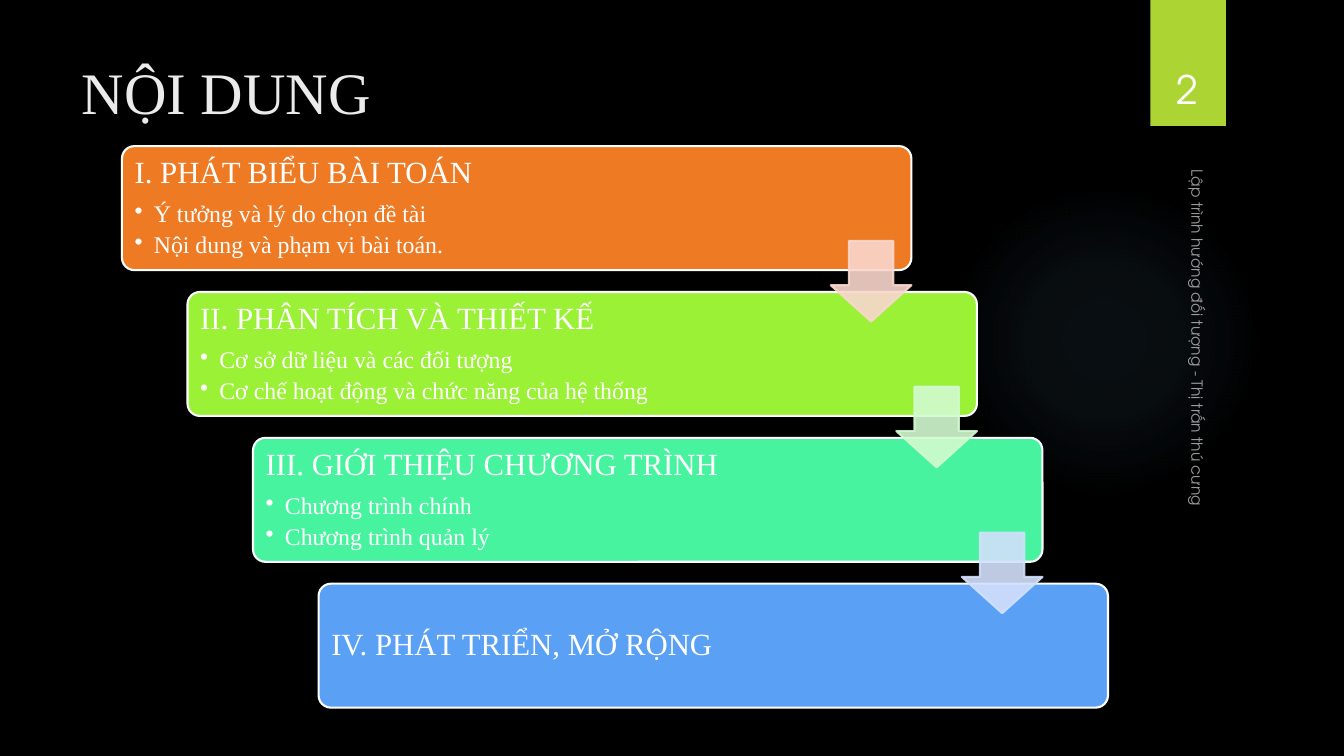
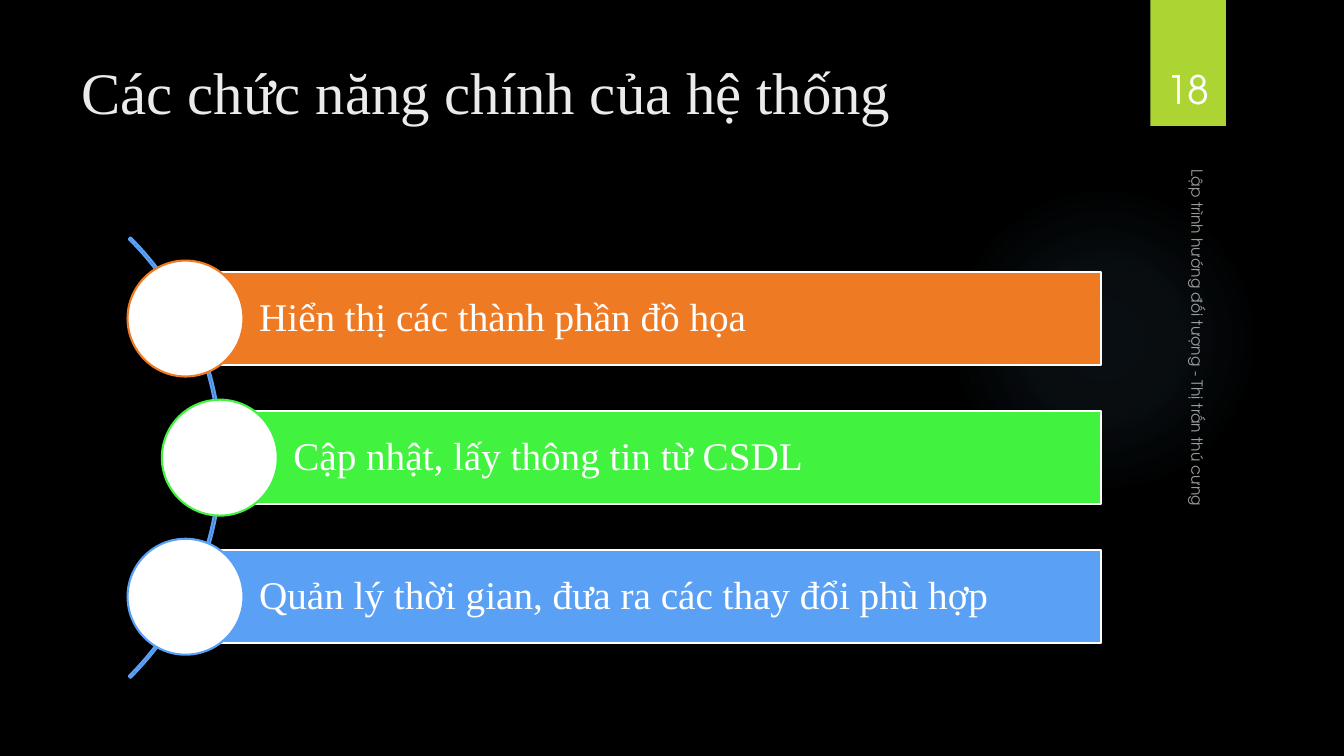
from lxml.etree import SubElement
from pptx import Presentation
from pptx.dml.color import RGBColor
from pptx.enum.shapes import MSO_SHAPE
from pptx.enum.text import MSO_ANCHOR, MSO_AUTO_SIZE, PP_ALIGN
from pptx.oxml import parse_xml
from pptx.oxml.ns import nsdecls, qn
from pptx.util import Inches, Pt

# Content
FOOTER = "Lập trình hướng đối tượng - Thị trấn thú cưng"
AGENDA = {
    "title": "NỘI DUNG",
    "page": "2",
    "cards": [
        ("I. PHÁT BIỂU BÀI TOÁN", "orange", "peach",
         ["Ý tưởng và lý do chọn đề tài", "Nội dung và phạm vi bài toán."]),
        ("II. PHÂN TÍCH VÀ THIẾT KẾ", "lime", "mint",
         ["Cơ sở dữ liệu và các đối tượng",
          "Cơ chế hoạt động và chức năng của hệ thống"]),
        ("III. GIỚI THIỆU CHƯƠNG TRÌNH", "teal", "sky",
         ["Chương trình chính", "Chương trình quản lý"]),
        ("IV. PHÁT TRIỂN, MỞ RỘNG", "blue", None, []),
    ],
}
TASKS = {
    "title": "Các chức năng chính của hệ thống",
    "page": "18",
    "bars": [
        ("Hiển thị các thành phần đồ họa", "orange", 0),
        ("Cập nhật, lấy thông tin từ CSDL", "green", 0.34),
        ("Quản lý thời gian, đưa ra các thay đổi phù hợp", "blue", 0),
    ],
}

# Shared look
HEX = {
    "black": "000000", "white": "FFFFFF", "title": "EBEBEB", "band": "ACD433",
    "glow": "7AC4F0", "orange": "EF7A24", "lime": "9AF136", "teal": "48F39F",
    "blue": "5AA0F5", "green": "41F23F",
    "peach": "F9D7CD", "mint": "D2FACF", "sky": "D2E0FB",
}
SERIF, SANS = "Times New Roman", "TeX Gyre Adventor"
FONTS = {
    "title": {"name": SERIF, "size": Pt(42)},
    "head": {"name": SERIF, "size": Pt(22)},
    "item": {"name": SERIF, "size": Pt(17)},
    "bar": {"name": SERIF, "size": Pt(28)},
    "page": {"name": SANS, "size": Pt(28)},
    "foot": {"name": SANS, "size": Pt(11)},
}
GLOW = [(0, 7), (36, 6), (69, 0)]  # stop and opacity, percent


def rgb(name):
    return RGBColor.from_string(HEX[name])


def apply(part, values):
    for key, value in values.items():
        setattr(part, key, value)


def fade(node, pct):
    for color in node.iter(qn("a:srgbClr")):
        SubElement(color, qn("a:alpha"), val=str(pct * 1000))


def draw(slide, kind, box, fill=None, line=None, adj=()):
    shape = slide.shapes.add_shape(kind, *map(Inches, box))
    shape.shadow.inherit = False
    for i, value in enumerate(adj):
        shape.adjustments[i] = value
    if fill:
        shape.fill.solid()
        shape.fill.fore_color.rgb = rgb(fill)
    else:
        shape.fill.background()
    if line:
        shape.line.color.rgb = rgb(line)
        shape.line.width = Pt(1.5)
    else:
        shape.line.fill.background()
    return shape


def write(para, text, font, color="white", **layout):
    apply(para, {"alignment": PP_ALIGN.LEFT, **layout})
    run = para.add_run()
    run.text = text
    apply(run.font, FONTS[font])
    run.font.color.rgb = rgb(color)
    return run


def bullet(para):
    props = para._p.get_or_add_pPr()
    indent = Inches(0.19)
    props.set("marL", str(indent))
    props.set("indent", str(-indent))
    SubElement(props, qn("a:buChar"), char="•")


def inset(frame, left, rest):
    apply(frame, {"margin_left": Inches(left), "margin_right": Inches(rest),
                  "margin_top": Inches(rest), "margin_bottom": Inches(rest),
                  "vertical_anchor": MSO_ANCHOR.MIDDLE, "word_wrap": True})


def label(slide, box, text, font, align):
    shape = slide.shapes.add_textbox(*map(Inches, box))
    frame = shape.text_frame
    apply(frame, {"word_wrap": True, "vertical_anchor": MSO_ANCHOR.BOTTOM})
    return shape, write(frame.paragraphs[0], text, font, alignment=align)


def backdrop(deck, slide):
    """Move the glow and the page band to the master."""
    master = deck.slide_master
    master.background.fill.solid()
    master.background.fill.fore_color.rgb = rgb("black")
    glow = draw(slide, MSO_SHAPE.OVAL, (9.41, 1.83, 3.08, 3.08))
    stops = "".join(
        f'<a:gs pos="{pos * 1000}"><a:srgbClr val="{HEX["glow"]}">'
        f'<a:alpha val="{pct * 1000}"/></a:srgbClr></a:gs>'
        for pos, pct in GLOW)
    grad = parse_xml(
        f'<a:gradFill {nsdecls("a")}><a:gsLst>{stops}</a:gsLst>'
        '<a:path path="circle"><a:fillToRect l="50000" t="50000" '
        'r="50000" b="50000"/></a:path></a:gradFill>')
    props = glow.element.spPr
    props.replace(props.find(qn("a:noFill")), grad)
    band = draw(slide, MSO_SHAPE.RECTANGLE, (11.41, 0, 0.75, 1.25), "band")
    for num, shape in enumerate((glow, band), 20):
        shape.element.nvSpPr.cNvPr.set("id", str(num))
        master.shapes.element.append(shape.element)


def start(deck, data):
    slide = deck.slides.add_slide(deck.slide_layouts.get_by_name("Title Only"))
    title = slide.shapes.title
    apply(title, {"left": Inches(0.71), "top": Inches(0.5),
                  "width": Inches(10.29), "height": Inches(1.53)})
    apply(title.text_frame, {"vertical_anchor": MSO_ANCHOR.TOP,
                             "auto_size": MSO_AUTO_SIZE.NONE})
    write(title.text_frame.paragraphs[0], data["title"], "title", "title")
    label(slide, (11.32, 0.32, 0.92, 0.84), data["page"], "page",
          PP_ALIGN.CENTER)
    foot, run = label(slide, (9.79, 3.53, 4.22, 0.33), FOOTER, "foot",
                      PP_ALIGN.LEFT)
    foot.rotation = 90
    fade(run.font._element, 60)
    return slide


def agenda(slide, cards):
    left, top, wide, high = 1.21, 1.45, 7.83, 1.23
    arrows = []
    for i, (head, color, tint, items) in enumerate(cards):
        x, y = left + i * 0.65, top + i * 1.447
        card = draw(slide, MSO_SHAPE.ROUNDED_RECTANGLE, (x, y, wide, high),
                    color, "white", [0.1])
        frame = card.text_frame
        inset(frame, 0.09, 0.09)
        write(frame.paragraphs[0], head, "head",
              line_spacing=0.9, space_after=Pt(8.5))
        for item in items:
            para = frame.add_paragraph()
            bullet(para)
            write(para, item, "item", line_spacing=0.9, space_after=Pt(3.8))
        if tint:
            arrows.append((x + wide - 0.8, y + 0.94, tint))
    # Arrows lie over all cards
    for x, y, tint in arrows:
        arrow = draw(slide, MSO_SHAPE.DOWN_ARROW, (x, y, 0.8, 0.8),
                     tint, tint, [0.55, 0.45])
        fade(arrow.element.spPr, 90)


def tasks(slide, bars):
    left, top, right, high, disc = 1.84, 2.7, 10.92, 0.92, 1.15
    draw(slide, MSO_SHAPE.BLOCK_ARC, (-3.98, 1.45, 6.18, 6.18),
         line="blue", adj=[189, 27, 0.004])
    for i, (text, color, shift) in enumerate(bars):
        x, y = left + shift, top + i * 1.38
        bar = draw(slide, MSO_SHAPE.RECTANGLE, (x, y, right - x, high),
                   color, "white")
        inset(bar.text_frame, 0.73, 0.08)
        write(bar.text_frame.paragraphs[0], text, "bar", line_spacing=0.9)
        draw(slide, MSO_SHAPE.OVAL,
             (x - disc / 2, y + (high - disc) / 2, disc, disc),
             "white", color)


def main():
    deck = Presentation()
    deck.slide_width, deck.slide_height = Inches(13.33), Inches(7.5)
    first = start(deck, AGENDA)
    backdrop(deck, first)
    agenda(first, AGENDA["cards"])
    tasks(start(deck, TASKS), TASKS["bars"])
    deck.save("out.pptx")


if __name__ == "__main__":
    main()
